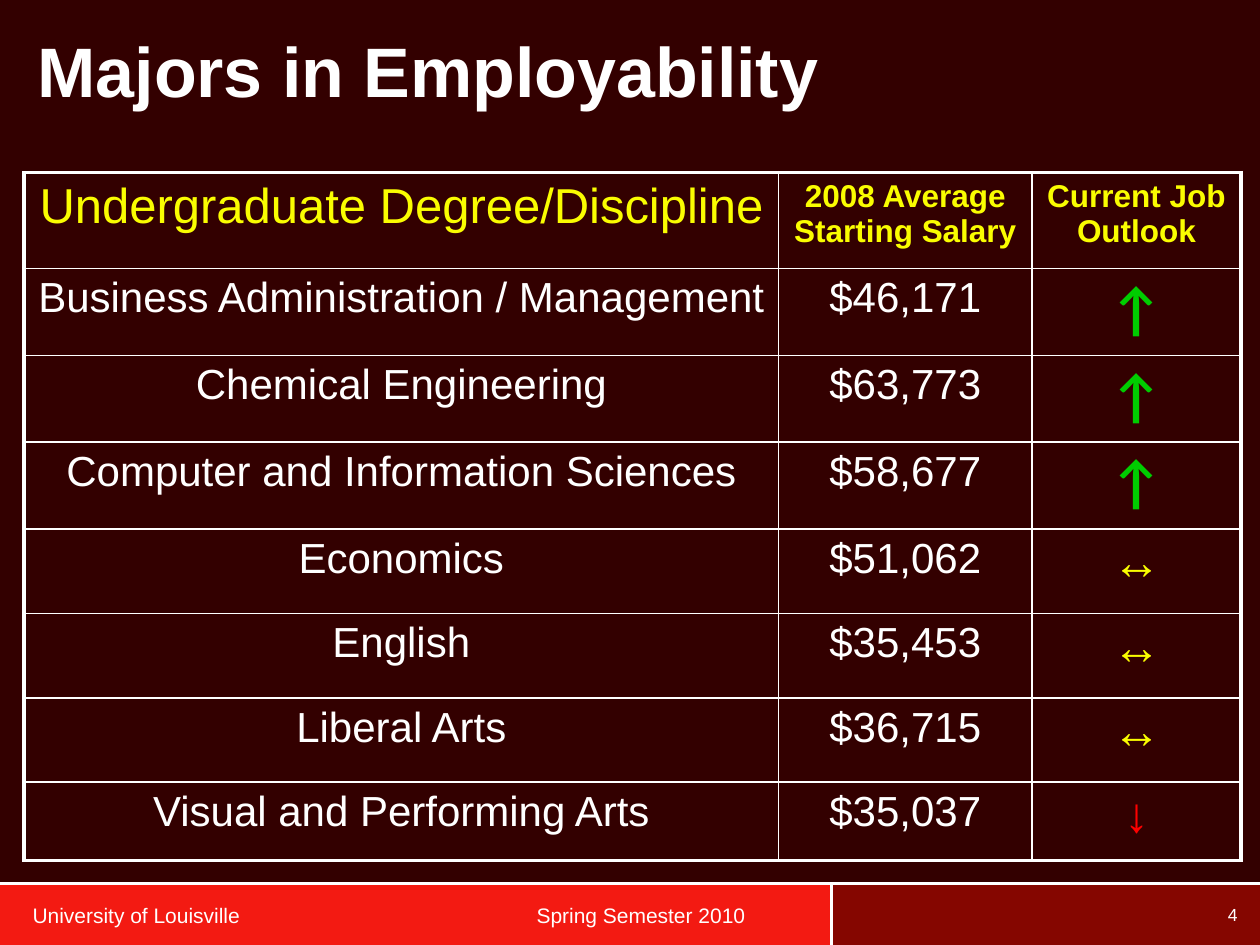
"""Build the slide on starting salary and job outlook by major."""
from lxml import etree
from pptx import Presentation
from pptx import util as u
from pptx.dml.color import RGBColor
from pptx.enum import shapes, text
from pptx.oxml import ns


class Theme:
    back, white, yellow = "330000", "FFFFFF", "FAFD00"
    green, red = "00CC00", "FF0000"
    bright, dark = "F31A12", "850600"
    font, arrow = "Arial", "Lato"
    title, head, body, label, foot, page = 40, 28, 24, 18, 12, 10
    up, thin, thick = 32, 1, 2.25


def write(frame, words, size=Theme.body, color=Theme.white, bold=False,
          font=Theme.font, align=text.PP_ALIGN.LEFT, anchor=text.MSO_ANCHOR.TOP, tab=None):
    frame.word_wrap = True
    frame.vertical_anchor = anchor
    para = frame.paragraphs[0]
    para.alignment = align
    if tab:
        stops = etree.SubElement(para._p.get_or_add_pPr(), ns.qn("a:tabLst"))
        etree.SubElement(stops, ns.qn("a:tab"), pos=str(u.Inches(tab)), algn="l")
    run = para.add_run()
    run.text = words
    run.font.name, run.font.size, run.font.bold = font, u.Pt(size), bold
    run.font.color.rgb = RGBColor.from_string(color)


def edge(cell, sides):
    props = cell._tc.get_or_add_tcPr()
    for spot, (side, width) in enumerate(sides.items()):
        line = etree.Element(ns.qn(f"a:ln{side}"), w=str(u.Pt(width)))
        fill = etree.SubElement(line, ns.qn("a:solidFill"))
        etree.SubElement(fill, ns.qn("a:srgbClr"), val=Theme.white)
        props.insert(spot, line)


deck = Presentation()
deck.slide_width, deck.slide_height = u.Inches(10), u.Inches(7.5)
slide = deck.slides.add_slide(deck.slide_layouts[6])
slide.background.fill.solid()
slide.background.fill.fore_color.rgb = RGBColor.from_string(Theme.back)

top, split = 7.01, 6.6
for left, width, color in [(split, 10 - split, Theme.dark), (0, split, Theme.bright)]:
    bar = slide.shapes.add_shape(shapes.MSO_SHAPE.RECTANGLE, u.Inches(left), u.Inches(top),
                                 u.Inches(width), u.Inches(7.5 - top))
    bar.shadow.inherit = False
    bar.fill.solid()
    bar.fill.fore_color.rgb = RGBColor.from_string(color)
    bar.line.fill.background()

for ends in [(split, top, split, 7.5), (0, top, 10, top)]:
    rule = slide.shapes.add_connector(shapes.MSO_CONNECTOR.STRAIGHT, *map(u.Inches, ends))
    rule.line.color.rgb = RGBColor.from_string(Theme.white)
    rule.line.width = u.Pt(1.5)
    etree.SubElement(rule._element.spPr, ns.qn("a:effectLst"))

middle = text.MSO_ANCHOR.MIDDLE
for place, words, form in [
    ((9.46, 7.09, 0.46, 0.33), "4",
     dict(size=Theme.page, align=text.PP_ALIGN.RIGHT, anchor=middle)),
    ((0.16, 7.09, 6.39, 0.34), "University of Louisville\tSpring Semester 2010",
     dict(size=Theme.foot, anchor=middle, tab=4)),
    ((0.2, 0.17, 9.4, 1.25), "Majors in Employability", dict(size=Theme.title, bold=True)),
]:
    box = slide.shapes.add_textbox(*map(u.Inches, place))
    write(box.text_frame, words, **form)

rows = [
    ("Undergraduate Degree/Discipline", "2008 Average Starting Salary", "Current Job Outlook"),
    ("Business Administration / Management", "$46,171", "↑"),
    ("Chemical Engineering", "$63,773", "↑"),
    ("Computer and Information Sciences", "$58,677", "↑"),
    ("Economics", "$51,062", "↔"),
    ("English", "$35,453", "↔"),
    ("Liberal Arts", "$36,715", "↔"),
    ("Visual and Performing Arts", "$35,037", "↓"),
]
label = dict(size=Theme.label, color=Theme.yellow, bold=True)
heads = [dict(size=Theme.head, color=Theme.yellow), label, label]
signs = {
    "↑": dict(size=Theme.up, color=Theme.green, bold=True, font=Theme.arrow),
    "↔": dict(size=Theme.head, color=Theme.yellow, bold=True),
    "↓": dict(size=Theme.head, color=Theme.red, bold=True),
}
wide = [5.99, 2.01, 1.66]
high = [0.76] + [0.69] * 3 + [0.67] * 3 + [0.62]
grid = slide.shapes.add_table(len(high), len(wide), u.Inches(0.19), u.Inches(1.37),
                              u.Inches(sum(wide)), u.Inches(sum(high))).table
grid.first_row = grid.horz_banding = False
for col, width in zip(grid.columns, wide):
    col.width = u.Inches(width)
for r, (row, height) in enumerate(zip(rows, high)):
    grid.rows[r].height = u.Inches(height)
    for c, words in enumerate(row):
        cell = grid.cell(r, c)
        cell.fill.background()
        form = signs.get(words, {}) if r else heads[c]
        write(cell.text_frame, words, align=text.PP_ALIGN.CENTER, **form)
        outer = {"L": c == 0, "R": c == len(wide) - 1, "T": r == 0, "B": r == len(high) - 1}
        edge(cell, {side: Theme.thick if out else Theme.thin for side, out in outer.items()})

deck.save("out.pptx")
